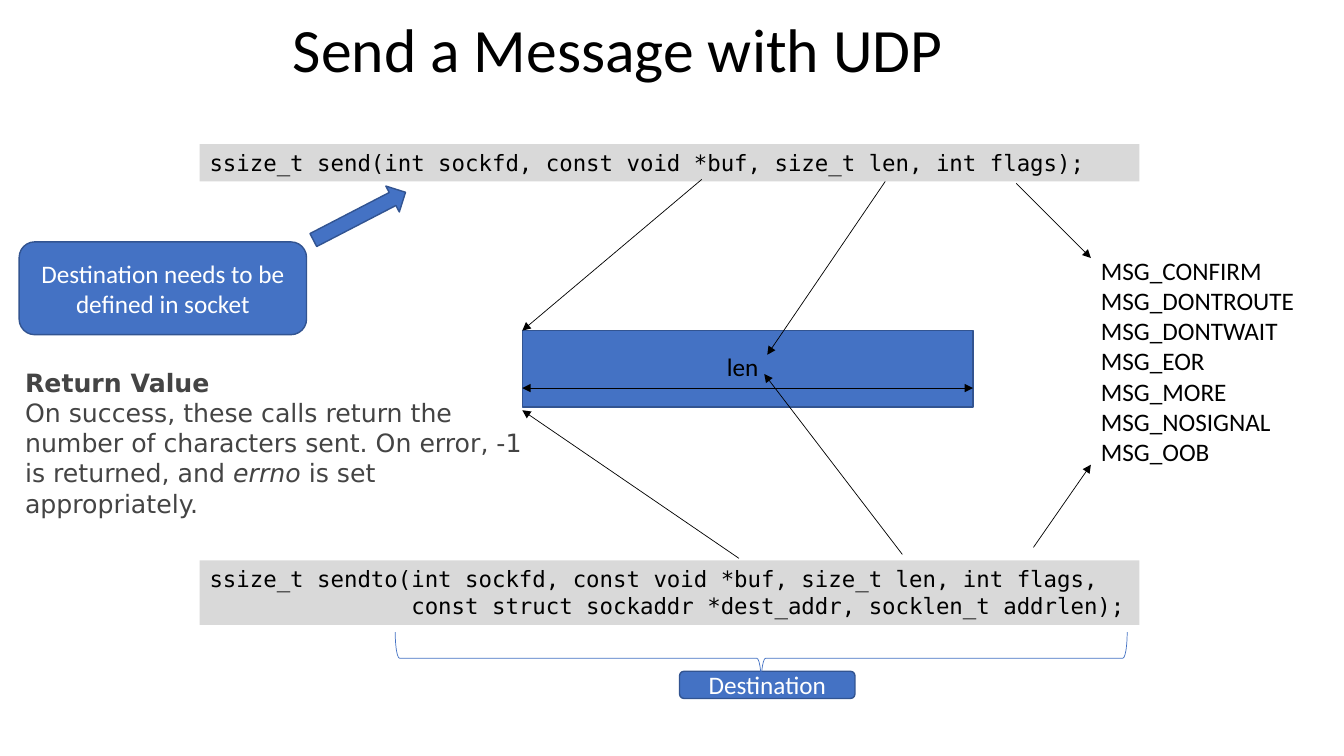
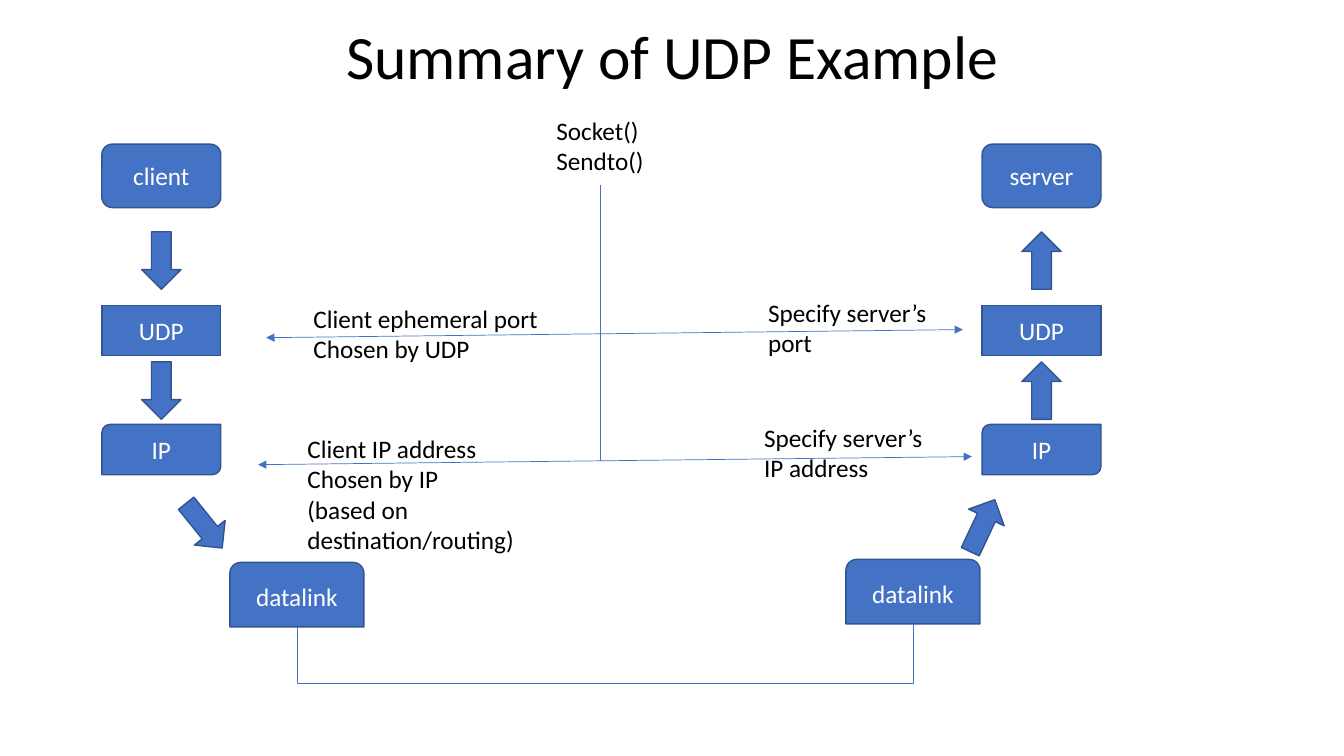
import pptx
import pptx.util
import pptx.dml.color
import pptx.enum.shapes
import pptx.enum.text
import pptx.oxml.ns
import lxml.etree

Inches = pptx.util.Inches
Pt = pptx.util.Pt
RGBColor = pptx.dml.color.RGBColor
SHAPE = pptx.enum.shapes.MSO_SHAPE
CONNECTOR = pptx.enum.shapes.MSO_CONNECTOR
ANCHOR = pptx.enum.text.MSO_ANCHOR
ALIGN = pptx.enum.text.PP_ALIGN
qn = pptx.oxml.ns.qn

BLUE = RGBColor(0x44, 0x72, 0xC4)
DARK_BLUE = RGBColor(0x32, 0x54, 0x91)
LIGHT_GREY = RGBColor(0xD9, 0xD9, 0xD9)
TEXT_GREY = RGBColor(0x44, 0x44, 0x44)
BLACK = RGBColor(0, 0, 0)
WHITE = RGBColor(0xFF, 0xFF, 0xFF)

BODY_FONT = "Calibri"
CODE_FONT = "DejaVu Sans Mono"
MANUAL_FONT = "DejaVu Sans"

# Send a message: signatures, flags, return value and pointers between them
SIGNATURES = [
    ((1.98, 1.43, 9.32, 0.37),
     ["ssize_t send(int sockfd, const void *buf, size_t len, int flags);"]),
    ((1.98, 5.56, 9.32, 0.64),
     ["ssize_t sendto(int sockfd, const void *buf, size_t len, int flags,",
      "               const struct sockaddr *dest_addr, socklen_t addrlen);"]),
]
FLAGS = ["MSG_CONFIRM", "MSG_DONTROUTE", "MSG_DONTWAIT", "MSG_EOR",
         "MSG_MORE", "MSG_NOSIGNAL", "MSG_OOB"]
RETURN_VALUE = [
    [("Return Value", "bold")],
    [("On success, these calls return the number of characters sent. "
      "On error, -1 is returned, and ", None),
     ("errno", "italic"), (" is set appropriately.", None)],
]
BUFFER = (5.18, 3.28, 4.47, 0.76)
ARGUMENT_ARROWS = [
    ((6.96, 1.78), (5.18, 3.28)),
    ((8.78, 1.8), (7.61, 3.52)),
    ((10.08, 1.82), (10.82, 2.56)),
    ((7.33, 5.54), (5.18, 4.07)),
    ((8.95, 5.5), (7.58, 3.71)),
    ((10.25, 5.43), (10.82, 4.61)),
]

# Summary: two protocol stacks and the notes between them
LAYERS = [
    (SHAPE.ROUNDED_RECTANGLE, 1.43, 0.63),
    (SHAPE.RECTANGLE, 3.03, 0.5),
    (SHAPE.ROUND_2_DIAG_RECTANGLE, 4.21, 0.5),
]
LAYER_WIDTH = 1.18
ARROW_WIDTH, ARROW_HEIGHT = 0.39, 0.57
ARROW_TOPS = [2.3, 3.59]
SLANTED_ARROW_TOP = 4.93
DATALINK_WIDTH, DATALINK_HEIGHT = 1.33, 0.64
STACKS = [
    {"labels": ["client", "UDP", "IP"], "left": 1.01, "turn": 0,
     "slanted": (1.83, 321.2), "datalink": (2.28, 5.58)},
    {"labels": ["server", "UDP", "IP"], "left": 9.74, "turn": 180,
     "slanted": (9.55, 205.2), "datalink": (8.39, 5.55)},
]
CABLE_DEPTH = 0.56
NOTES = [
    ((5.42, 1.09, 1.13, 0.71), ["Socket()", "Sendto()"]),
    ((3.01, 2.96, 2.88, 0.71), ["Client ephemeral port", "Chosen by UDP"]),
    ((2.95, 4.25, 2.88, 1.31), ["Client IP address", "Chosen by IP",
                                "(based on destination/routing)"]),
    ((7.52, 2.9, 1.92, 0.71), ["Specify server’s", "port"]),
    ((7.48, 4.14, 1.82, 0.71), ["Specify server’s", "IP address"]),
]
ADDRESS_LINES = [((2.64, 3.35), (9.55, 3.27)), ((2.56, 4.61), (9.64, 4.53))]


def write(shape, lines, size=18, font=BODY_FONT, color=BLACK,
          align=ALIGN.LEFT, anchor=ANCHOR.TOP, spacing=None):
    """Fill a shape with paragraphs, each a string or a list of (text, style)."""
    frame = shape.text_frame
    frame.word_wrap = True
    frame.vertical_anchor = anchor
    for index, line in enumerate(lines):
        paragraph = frame.add_paragraph() if index else frame.paragraphs[0]
        paragraph.alignment = align
        paragraph.line_spacing = spacing
        if isinstance(line, str):
            paragraph.text = line
        else:
            for text, style in line:
                run = paragraph.add_run()
                run.text = text
                run.font.bold = style == "bold"
                run.font.italic = style == "italic"
        for run in paragraph.runs:
            run.font.size = Pt(size)
            run.font.name = font
            run.font.color.rgb = color


def add_text(slide, box, lines, **style):
    write(slide.shapes.add_textbox(*map(Inches, box)), lines, **style)


def add_block(slide, kind, box, label=None, fill=BLUE, outline=DARK_BLUE,
              width=1, rotation=0):
    block = slide.shapes.add_shape(kind, *map(Inches, box))
    block.shadow.inherit = False
    block.rotation = rotation
    if fill is None:
        block.fill.background()
    else:
        block.fill.solid()
        block.fill.fore_color.rgb = fill
    if outline is None:
        block.line.fill.background()
    else:
        block.line.color.rgb = outline
        block.line.width = Pt(width)
    if label:
        write(block, [label], color=WHITE, align=ALIGN.CENTER,
              anchor=ANCHOR.MIDDLE)
    return block


def add_line(slide, start, end, color, heads=(), kind=CONNECTOR.STRAIGHT):
    """Draw a thin line; heads may name headEnd (start) and tailEnd (end)."""
    line = slide.shapes.add_connector(kind, *map(Inches, start + end))
    line.line.color.rgb = color
    line.line.width = Pt(0.5)
    for head in heads:
        lxml.etree.SubElement(line.line._get_or_add_ln(), qn("a:" + head),
                              type="triangle")
    lxml.etree.SubElement(line._element.spPr, qn("a:effectLst"))
    return line


def add_cable(slide, start, end):
    """Draw a U-shaped connector that hangs below its two ends."""
    cable = add_line(slide, start, end, BLUE, kind=CONNECTOR.ELBOW)
    span, rise = end[0] - start[0], start[1] - end[1]
    # A quarter turn swaps the box's sides about its centre
    cable.left = Inches((start[0] + end[0] - rise) / 2)
    cable.top = Inches((start[1] + end[1] - span) / 2)
    cable.width, cable.height = Inches(rise), Inches(span)
    frame = cable._element.spPr.find(qn("a:xfrm"))
    for name, value in (("rot", "5400000"), ("flipH", "1"), ("flipV", "1")):
        frame.set(name, value)
    geometry = cable._element.spPr.find(qn("a:prstGeom"))
    guides = geometry.find(qn("a:avLst"))
    if guides is None:
        guides = lxml.etree.SubElement(geometry, qn("a:avLst"))
    lxml.etree.SubElement(guides, qn("a:gd"), name="adj1",
                          fmla=f"val {round(-CABLE_DEPTH / rise * 100000)}")


def add_slide(deck, title, title_box):
    slide = deck.slides.add_slide(deck.slide_layouts[6])
    add_text(slide, title_box, [title], size=44, align=ALIGN.CENTER,
             anchor=ANCHOR.MIDDLE, spacing=0.9)
    return slide


def build_send(deck):
    slide = add_slide(deck, "Send a Message with UDP", (1.32, 0, 9.62, 1.05))
    for box, code in SIGNATURES:
        signature = add_block(slide, SHAPE.RECTANGLE, box, fill=LIGHT_GREY,
                              outline=None)
        write(signature, code, size=16, font=CODE_FONT)
    add_block(slide, SHAPE.ROUNDED_RECTANGLE, (0.19, 2.4, 2.85, 0.92),
              "Destination needs to be defined in socket")
    add_block(slide, SHAPE.UP_ARROW, (3.42, 1.63, 0.29, 1.03), rotation=62.6)

    add_block(slide, SHAPE.RECTANGLE, BUFFER)
    left, top, width, height = BUFFER
    add_line(slide, (left, 3.85), (left + width, 3.85), BLACK,
             ("headEnd", "tailEnd"))
    add_text(slide, (7.11, 3.44, 0.61, 0.4), ["len"])
    for start, end in ARGUMENT_ARROWS:
        add_line(slide, start, end, BLACK, ("tailEnd",))

    add_block(slide, SHAPE.ROUNDED_RECTANGLE, (6.74, 6.66, 1.74, 0.27),
              "Destination")
    add_block(slide, SHAPE.LEFT_BRACE, (7.29, 2.9, 0.52, 7.26), fill=None,
              outline=BLUE, width=0.5, rotation=270)
    add_text(slide, (10.82, 2.48, 2.25, 2.22), FLAGS)
    add_text(slide, (0.15, 3.59, 5.28, 1.62), RETURN_VALUE, font=MANUAL_FONT,
             color=TEXT_GREY)


def build_summary(deck):
    slide = add_slide(deck, "Summary of UDP Example", (0.92, 0, 11.5, 1.19))
    cable_ends = []
    for stack in STACKS:
        left = stack["left"]
        for label, (kind, top, height) in zip(stack["labels"], LAYERS):
            add_block(slide, kind, (left, top, LAYER_WIDTH, height), label)
        arrow_left = left + (LAYER_WIDTH - ARROW_WIDTH) / 2
        slanted_left, slant = stack["slanted"]
        arrows = [(arrow_left, top, stack["turn"]) for top in ARROW_TOPS]
        arrows.append((slanted_left, SLANTED_ARROW_TOP, slant))
        for x, y, rotation in arrows:
            add_block(slide, SHAPE.DOWN_ARROW,
                      (x, y, ARROW_WIDTH, ARROW_HEIGHT), rotation=rotation)
        x, y = stack["datalink"]
        add_block(slide, SHAPE.ROUND_2_SAME_RECTANGLE,
                  (x, y, DATALINK_WIDTH, DATALINK_HEIGHT), "datalink")
        cable_ends.append((x + DATALINK_WIDTH / 2, y + DATALINK_HEIGHT))

    add_cable(slide, *cable_ends)
    for start, end in ADDRESS_LINES:
        add_line(slide, start, end, BLUE, ("headEnd", "tailEnd"))
    add_line(slide, (5.95, 4.57), (5.95, 1.84), BLUE)
    for box, lines in NOTES:
        add_text(slide, box, lines)


def main():
    deck = pptx.Presentation()
    deck.slide_width, deck.slide_height = Inches(13.33), Inches(7.5)
    build_send(deck)
    build_summary(deck)
    deck.save("out.pptx")


if __name__ == "__main__":
    main()
